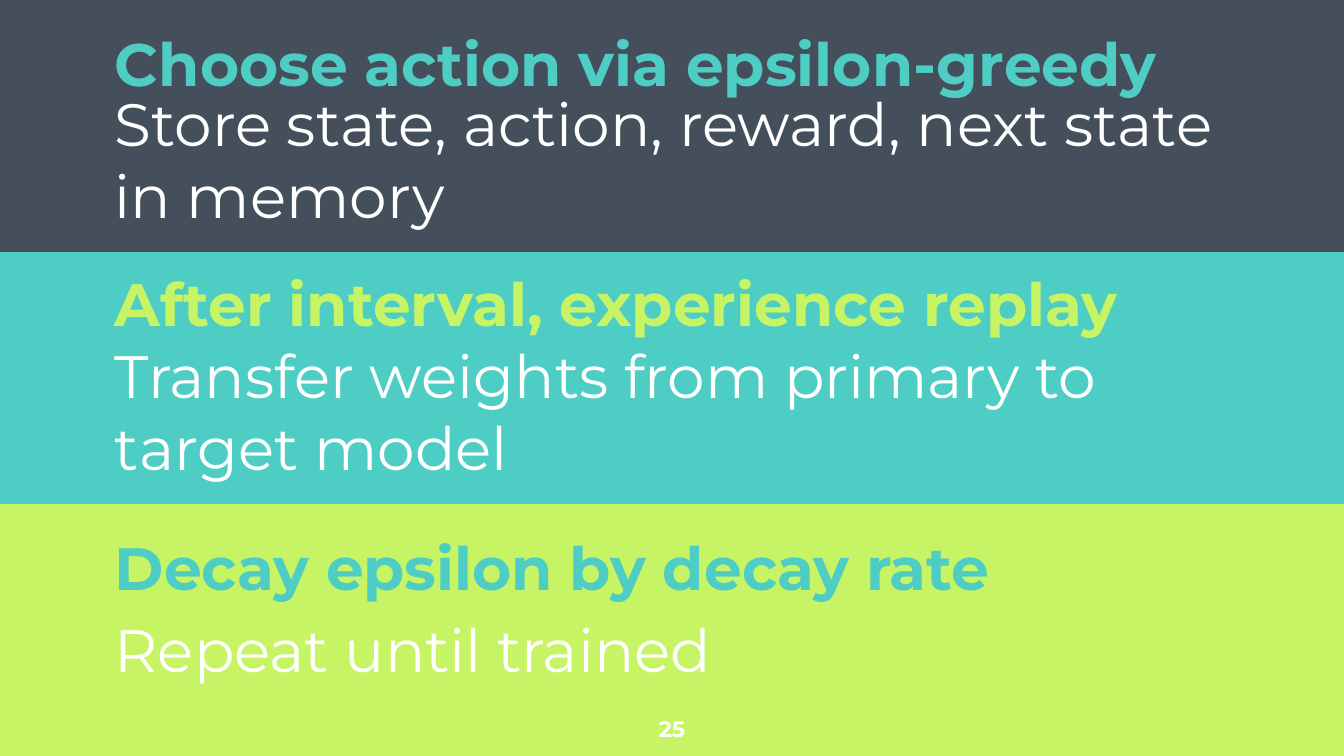
from dataclasses import dataclass

from pptx import Presentation
from pptx.dml.color import RGBColor
from pptx.enum.shapes import MSO_SHAPE
from pptx.enum.text import MSO_ANCHOR, PP_ALIGN
from pptx.util import Emu, Pt

RECTANGLE = MSO_SHAPE.RECTANGLE
TOP, BOTTOM = MSO_ANCHOR.TOP, MSO_ANCHOR.BOTTOM
LEFT, CENTER = PP_ALIGN.LEFT, PP_ALIGN.CENTER

EMU_PER_PX = 9525
PAGE_WIDTH, PAGE_HEIGHT = 960, 540
BAND_HEIGHT = PAGE_HEIGHT // 3
TEXT_LEFT, TEXT_WIDTH = 72, 816
TITLE_HEIGHT, DETAIL_HEIGHT = 94, 49
INSET = 10
FONT = "Montserrat"
COLORS = {
    "slate": "454F5B",
    "teal": "4ECDC4",
    "lime": "C7F464",
    "white": "FFFFFF",
}


@dataclass(frozen=True)
class Step:
    title: str
    title_color: str
    title_top: int
    detail: str
    detail_top: int


@dataclass(frozen=True)
class Label:
    text: str
    left: int
    top: int
    width: int
    height: int
    color: str = "white"
    size: int = 32
    bold: bool = False
    anchor: MSO_ANCHOR = TOP
    align: PP_ALIGN = LEFT


STEPS = [
    Step("Choose action via epsilon-greedy", "teal", -14,
         "Store state, action, reward, next state in memory", 52),
    Step("After interval, experience replay", "lime", 158,
         "Transfer weights from primary to target model", 232),
    Step("Decay epsilon by decay rate", "teal", 346,
         "Repeat until trained", 428),
]


def px(length: int) -> Emu:
    return Emu(length * EMU_PER_PX)


def rgb(name: str) -> RGBColor:
    return RGBColor.from_string(COLORS[name])


def draw_band(page, index: int, color: str) -> None:
    band = page.shapes.add_shape(RECTANGLE, 0, px(index * BAND_HEIGHT),
                                 px(PAGE_WIDTH), px(BAND_HEIGHT))
    band.shadow.inherit = False
    band.fill.solid()
    band.fill.fore_color.rgb = rgb(color)
    band.line.fill.background()


def draw_label(page, label: Label) -> None:
    box = page.shapes.add_textbox(px(label.left), px(label.top),
                                  px(label.width), px(label.height))
    frame = box.text_frame
    frame.word_wrap = True
    frame.vertical_anchor = label.anchor
    frame.margin_left = frame.margin_right = px(INSET)
    frame.margin_top = frame.margin_bottom = px(INSET)
    para = frame.paragraphs[0]
    para.alignment = label.align
    span = para.add_run()
    span.text = label.text
    span.font.name = FONT
    span.font.size = Pt(label.size)
    span.font.bold = label.bold
    span.font.color.rgb = rgb(label.color)


def draw_step(page, step: Step) -> None:
    draw_label(page, Label(step.title, TEXT_LEFT, step.title_top, TEXT_WIDTH,
                           TITLE_HEIGHT, step.title_color, bold=True, anchor=BOTTOM))
    draw_label(page, Label(step.detail, TEXT_LEFT, step.detail_top, TEXT_WIDTH,
                           DETAIL_HEIGHT))


def main() -> None:
    deck = Presentation()
    deck.slide_width, deck.slide_height = px(PAGE_WIDTH), px(PAGE_HEIGHT)
    page = deck.slides.add_slide(deck.slide_layouts[6])

    # Lime background shows through as the third band
    page.background.fill.solid()
    page.background.fill.fore_color.rgb = rgb("lime")
    for index, color in enumerate(("slate", "teal")):
        draw_band(page, index, color)

    # Training steps
    for step in STEPS:
        draw_step(page, step)

    # Page number
    draw_label(page, Label("25", 451, 501, 58, 33, size=12, bold=True, align=CENTER))

    deck.save("out.pptx")


if __name__ == "__main__":
    main()
